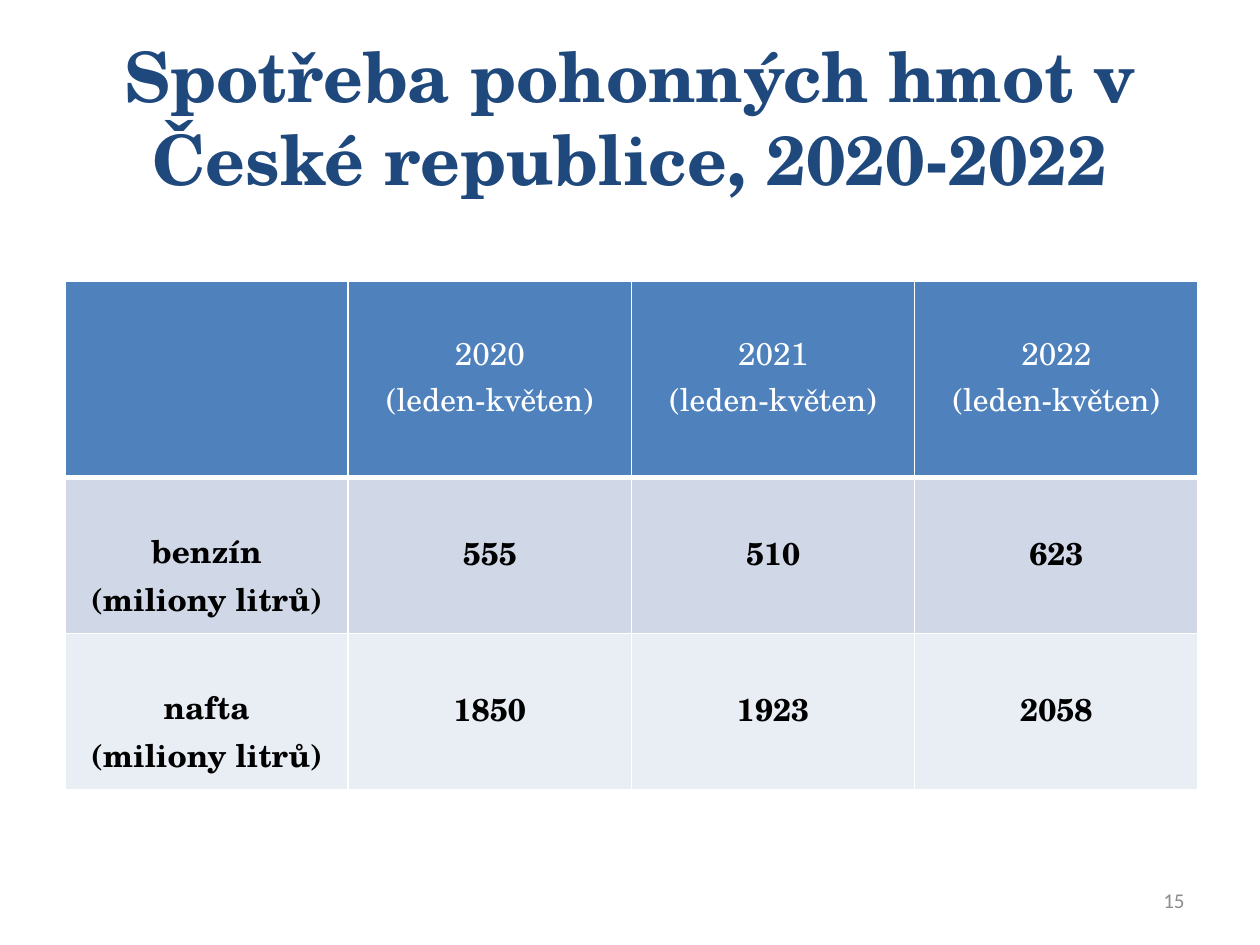
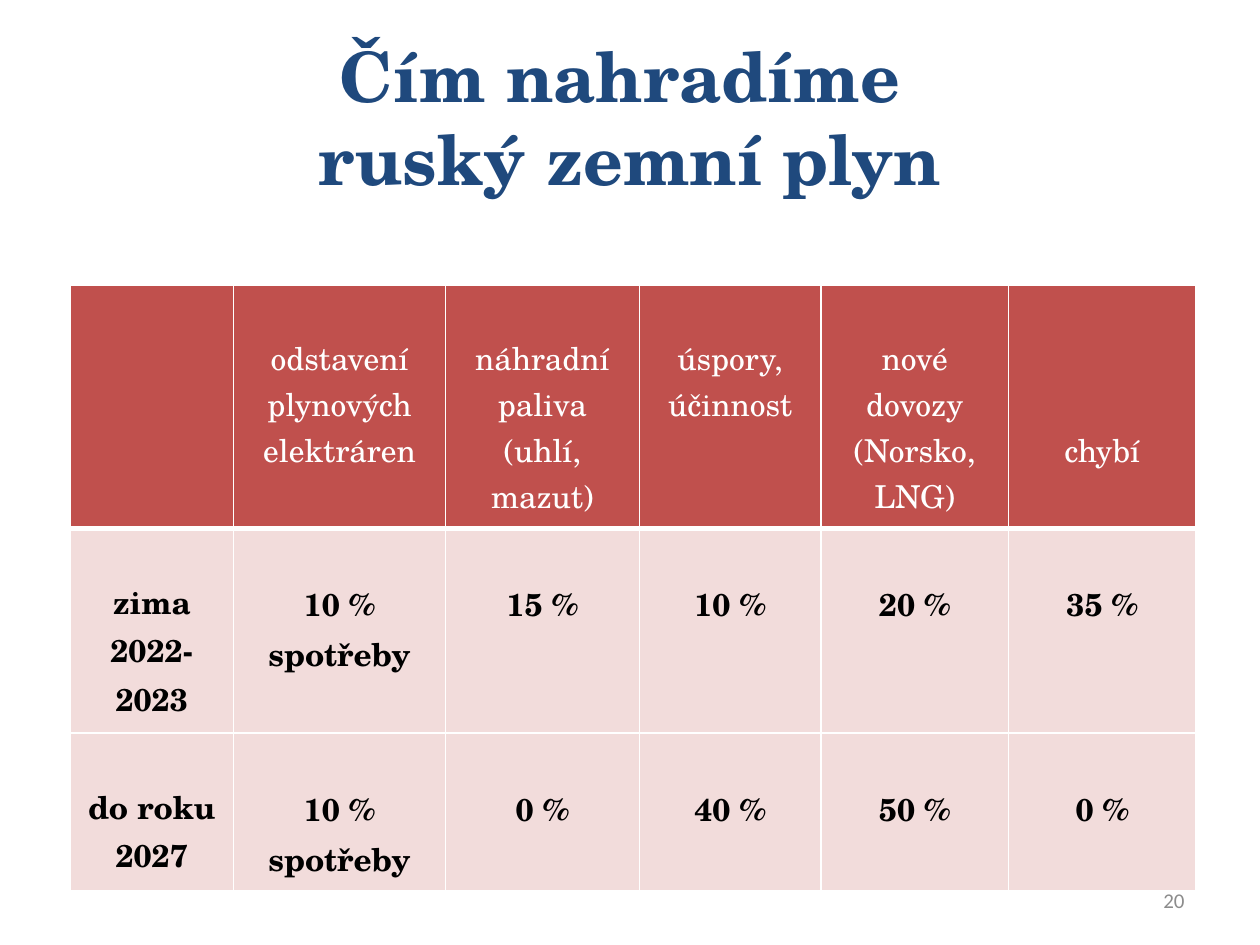
from lxml import etree
from pptx import Presentation
from pptx import util as u
from pptx.dml.color import RGBColor
from pptx.enum import text
from pptx.oxml import ns

Cm, Pt = u.Cm, u.Pt

NAVY = RGBColor(0x1F, 0x49, 0x7D)
GREY = RGBColor(0x8C, 0x8C, 0x8C)
WHITE = RGBColor(0xFF, 0xFF, 0xFF)
BLACK = RGBColor(0x00, 0x00, 0x00)
BLUE = RGBColor(0x4F, 0x81, 0xBD)
BLUE_MID = RGBColor(0xD0, 0xD8, 0xE8)
BLUE_PALE = RGBColor(0xE9, 0xED, 0xF4)
RED = RGBColor(0xC0, 0x50, 0x4D)
RED_PALE = RGBColor(0xF2, 0xDC, 0xDB)

SERIF, SANS = "TeX Gyre Schola", "Calibri"
CELL_TOP = Cm(1)
HEADER_LEADING, LABEL_LEADING, VALUE_LEADING = Pt(26.3), Pt(27.6), Pt(28.6)


def style_text(tf, font, size, color, bold, align, leading=None):
    for p in tf.paragraphs:
        p.alignment = align
        if leading:
            p.line_spacing = leading
        for r in p.runs:
            r.font.name = font
            r.font.size = Pt(size)
            r.font.bold = bold
            r.font.color.rgb = color


def add_text(s, box, words, font, size, color, bold, align):
    tf = s.shapes.add_textbox(*box).text_frame
    tf.word_wrap = True
    tf.vertical_anchor = text.MSO_ANCHOR.MIDDLE
    tf.text = words
    style_text(tf, font, size, color, bold, align)


def add_slide(prs, title, number):
    """Add a blank slide with the shared title and slide number."""
    s = prs.slides.add_slide(prs.slide_layouts[6])
    add_text(s, (Cm(1.27), Cm(0.76), Cm(22.86), Cm(3.18)), title,
             SERIF, 39.6, NAVY, True, text.PP_ALIGN.CENTER)
    add_text(s, (Cm(18.2), Cm(17.65), Cm(5.93), Cm(1.01)), str(number),
             SANS, 12, GREY, False, text.PP_ALIGN.RIGHT)
    return s


def set_borders(cell, bottom):
    """Draw white cell borders, 1 pt except for the given bottom width."""
    tcPr = cell._tc.get_or_add_tcPr()
    for side, width in (("L", 1), ("R", 1), ("T", 1), ("B", bottom)):
        ln = etree.SubElement(tcPr, ns.qn(f"a:ln{side}"), w=str(Pt(width)))
        fill = etree.SubElement(ln, ns.qn("a:solidFill"))
        etree.SubElement(fill, ns.qn("a:srgbClr"), val=str(WHITE))


def add_data_table(s, left, top, widths, heights, rows, fills):
    """Add a table whose first row is the header; fills has one colour a row."""
    table = s.shapes.add_table(len(rows), len(widths), left, top,
                               sum(widths), sum(heights)).table
    table.first_row = table.horz_banding = False
    for column, width in zip(table.columns, widths):
        column.width = width
    for i, (row, fill) in enumerate(zip(rows, fills)):
        header = i == 0
        table.rows[i].height = heights[i]
        for j, words in enumerate(row):
            cell = table.cell(i, j)
            set_borders(cell, 3 if header else 1)
            cell.fill.solid()
            cell.fill.fore_color.rgb = fill
            cell.margin_top = CELL_TOP
            cell.text = words
            if header:
                leading = HEADER_LEADING
            else:
                leading = VALUE_LEADING if j else LABEL_LEADING
            style_text(cell.text_frame, SERIF, 18, WHITE if header else BLACK,
                       not header, text.PP_ALIGN.CENTER, leading)
    return table


def add_fuel_slide(prs):
    s = add_slide(prs, "Spotřeba pohonných hmot v České republice, 2020-2022", 15)
    years = [f"{year}\n(leden-květen)" for year in (2020, 2021, 2022)]
    rows = [
        ["", *years],
        ["benzín\n(miliony litrů)", "555", "510", "623"],
        ["nafta\n(miliony litrů)", "1850", "1923", "2058"],
    ]
    add_data_table(s, Cm(1.31), Cm(5.66), [Cm(5.71)] * 4,
                   [Cm(3.96), Cm(3.15), Cm(3.15)], rows,
                   [BLUE, BLUE_MID, BLUE_PALE])


def add_gas_slide(prs):
    s = add_slide(prs, "Čím nahradíme \vruský zemní plyn", 20)
    rows = [
        ["", "odstavení plynových elektráren", "náhradní paliva (uhlí, mazut)",
         "úspory, účinnost", "nové dovozy (Norsko, LNG)", "chybí"],
        ["zima\n2022-2023", "10 % spotřeby", "15 %", "10 %", "20 %", "35 %"],
        ["do roku 2027", "10 % spotřeby", "0 %", "40 %", "50 %", "0 %"],
    ]
    widths = [Cm(w) for w in (3.3, 4.27, 3.91, 3.66, 3.78, 3.78)]
    table = add_data_table(s, Cm(1.41), Cm(5.75), widths,
                           [Cm(4.9), Cm(4.13), Cm(3.18)], rows,
                           [RED, RED_PALE, RED_PALE])
    missing = table.cell(0, 5)
    missing.margin_top = CELL_TOP + 2 * HEADER_LEADING


def main():
    prs = Presentation()
    prs.slide_width, prs.slide_height = Cm(25.4), Cm(19.05)
    add_fuel_slide(prs)
    add_gas_slide(prs)
    prs.save("out.pptx")


if __name__ == "__main__":
    main()
